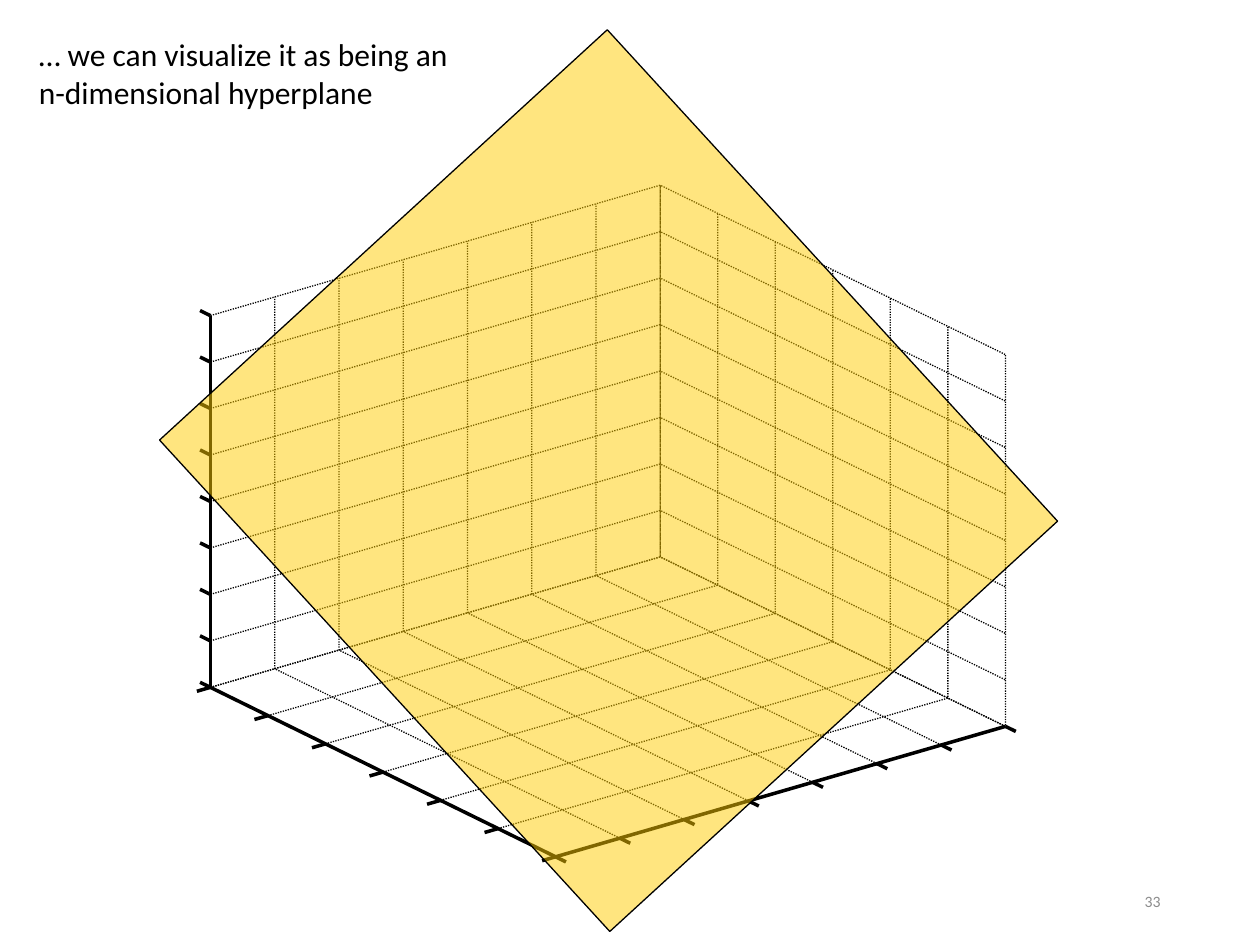
from lxml.etree import SubElement
from pptx import Presentation
from pptx.dml.color import RGBColor
from pptx.enum.dml import MSO_LINE
from pptx.enum.shapes import MSO_CONNECTOR, MSO_SHAPE
from pptx.enum.text import MSO_ANCHOR, MSO_AUTO_SIZE, PP_ALIGN
from pptx.oxml.ns import qn
from pptx.util import Inches, Pt

BLACK = RGBColor(0x00, 0x00, 0x00)
GREY = RGBColor(0x8C, 0x8C, 0x8C)
GOLD = RGBColor(0xFF, 0xCC, 0x00)

PAGE_WIDTH, PAGE_HEIGHT = Inches(10), Inches(7.5)
LEFT_STEPS, RIGHT_STEPS, UP_STEPS = 7, 6, 8
TICK = 0.03


def percent_box(left, top, width, height):
    """Turn percentages of the page into a box of lengths."""
    return (int(PAGE_WIDTH * left / 100), int(PAGE_HEIGHT * top / 100),
            int(PAGE_WIDTH * width / 100), int(PAGE_HEIGHT * height / 100))


def project(box, left, right, up):
    """Map cube coordinates from 0 to 1, measured from the back corner, into the box."""
    box_left, box_top, width, height = box
    across = 56.58 - 56.58 * left + 43.42 * right
    down = 55.35 + 19.42 * left + 25.23 * right - 55.35 * up
    return int(box_left + width * across / 100), int(box_top + height * down / 100)


def add_grid_line(page, box, *corners):
    """Draw a dotted open line through cube corners."""
    start, *others = [project(box, *corner) for corner in corners]
    builder = page.shapes.build_freeform(*start)
    builder.add_line_segments(others, close=False)
    shape = builder.convert_to_shape()
    shape.shadow.inherit = False
    shape.fill.background()
    shape.line.color.rgb = BLACK
    shape.line.width = Pt(0)
    shape.line.dash_style = MSO_LINE.ROUND_DOT


def add_edge(page, box, start, end):
    """Draw a solid hairline between two cube points."""
    connector = page.shapes.add_connector(
        MSO_CONNECTOR.STRAIGHT, *project(box, *start), *project(box, *end))
    connector.line.color.rgb = BLACK
    connector.line.width = Pt(0)
    SubElement(connector._element.spPr, qn("a:effectLst"))


def add_cube(page, box):
    """Draw the gridded walls and floor, the front axes and their ticks."""
    left_shares = [step / LEFT_STEPS for step in range(LEFT_STEPS, -1, -1)]
    right_shares = [step / RIGHT_STEPS for step in range(RIGHT_STEPS, -1, -1)]
    up_shares = [step / UP_STEPS for step in range(UP_STEPS + 1)]

    for left in left_shares:
        add_grid_line(page, box, (left, 1, 0), (left, 0, 0), (left, 0, 1))
    for right in right_shares:
        add_grid_line(page, box, (1, right, 0), (0, right, 0), (0, right, 1))
    for up in up_shares:
        add_grid_line(page, box, (1, 0, up), (0, 0, up), (0, 1, up))

    add_edge(page, box, (1, 1, 0), (0, 1, 0))
    add_edge(page, box, (1, 1, 0), (1, 0, 0))
    add_edge(page, box, (1, 0, 0), (1, 0, 1))

    for left in left_shares:
        add_edge(page, box, (left, 1, 0), (left, 1 + TICK, 0))
    for right in right_shares:
        add_edge(page, box, (1, right, 0), (1 + TICK, right, 0))
    for up in up_shares:
        add_edge(page, box, (1, 0, up), (1, -TICK, up))


def add_hyperplane(page, box):
    """Lay the tilted, half-transparent plane over the cube."""
    plane = page.shapes.add_shape(MSO_SHAPE.PARALLELOGRAM, *box)
    plane.adjustments[0] = 0
    plane.rotation = 317.5
    plane.shadow.inherit = False
    plane.fill.solid()
    plane.fill.fore_color.rgb = GOLD
    color = plane._element.spPr.find(qn("a:solidFill")).find(qn("a:srgbClr"))
    SubElement(color, qn("a:alpha"), val="50000")
    plane.line.color.rgb = BLACK
    plane.line.width = Pt(0.75)


def add_text(page, box, text, size=18, color=BLACK, align=PP_ALIGN.LEFT,
             anchor=MSO_ANCHOR.TOP, fit=MSO_AUTO_SIZE.NONE):
    """Add a wrapped one-paragraph text box."""
    frame = page.shapes.add_textbox(*box).text_frame
    frame.word_wrap = True
    frame.auto_size = fit
    frame.vertical_anchor = anchor
    para = frame.paragraphs[0]
    para.alignment = align
    span = para.add_run()
    span.text = text
    span.font.name = "Calibri"
    span.font.size = Pt(size)
    span.font.color.rgb = color


def main():
    """Build the slide and save the deck."""
    deck = Presentation()
    deck.slide_width, deck.slide_height = PAGE_WIDTH, PAGE_HEIGHT
    page = deck.slides.add_slide(deck.slide_layouts[6])
    add_cube(page, percent_box(16.7, 19.6, 63.1, 71.07))
    add_hyperplane(page, percent_box(24.2, 15.6, 48.2, 70.53))
    add_text(page, percent_box(2.1, 3.07, 34.7, 17.33),
             "… we can visualize it as being an n-dimensional hyperplane",
             fit=MSO_AUTO_SIZE.SHAPE_TO_FIT_TEXT)
    add_text(page, percent_box(70.6, 92.67, 22.5, 5.33), "33", size=9, color=GREY,
             align=PP_ALIGN.RIGHT, anchor=MSO_ANCHOR.MIDDLE)
    deck.save("out.pptx")


if __name__ == "__main__":
    main()
